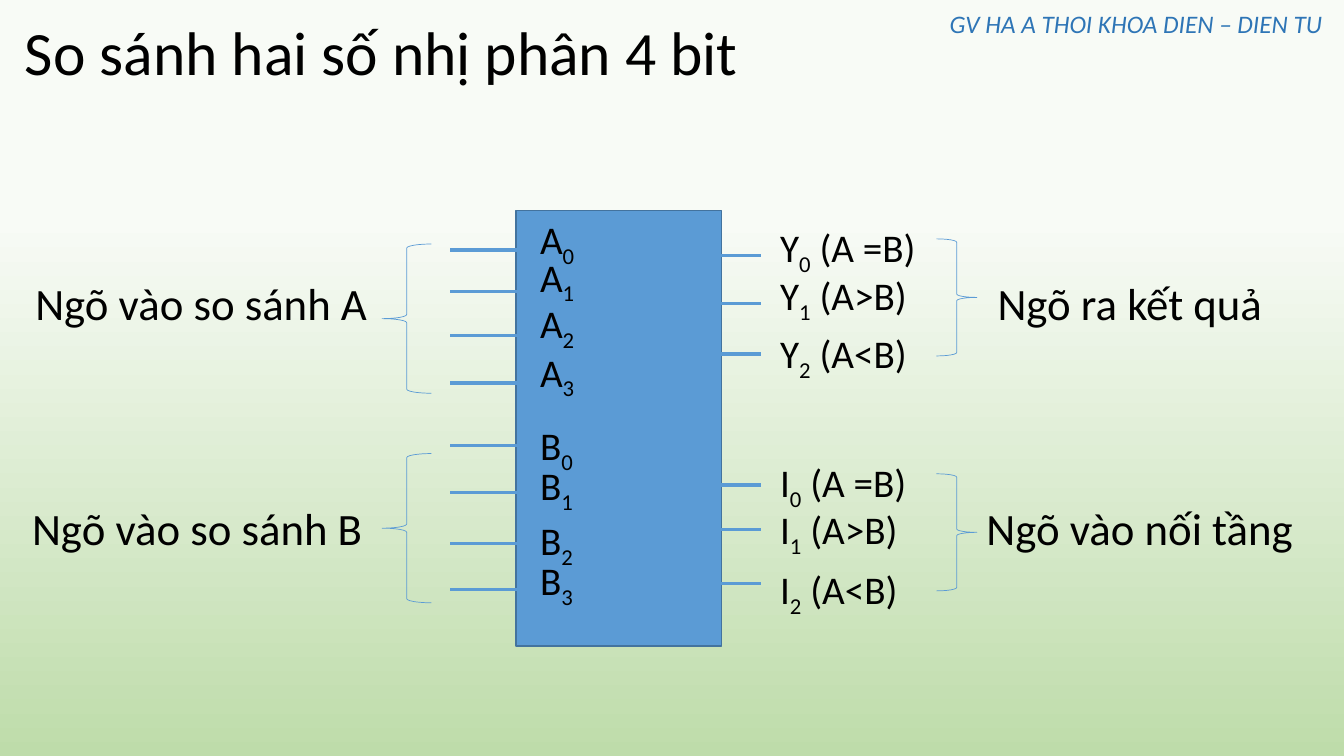
import pptx
import pptx.dml.color
import pptx.enum.shapes
import pptx.enum.text
import pptx.oxml.ns
import pptx.util
from dataclasses import dataclass
from lxml import etree

Cm, Pt = pptx.util.Cm, pptx.util.Pt
SHAPE = pptx.enum.shapes.MSO_SHAPE
ALIGN = pptx.enum.text.PP_ALIGN


@dataclass(frozen=True)
class Theme:
    font: str = "Calibri"
    text: str = "000000"
    blue: str = "5B9BD5"
    border: str = "43739E"
    credit: str = "2E75B6"
    bg_top: str = "F8FBF6"
    bg_bottom: str = "BEDCAA"
    title_size: int = 44
    caption_size: int = 32
    pin_size: int = 28
    credit_size: int = 18


def rgb(value):
    return pptx.dml.color.RGBColor.from_string(value)


class Diagram:
    def __init__(self, slide, theme):
        self.s = slide
        self.theme = theme

    def background(self):
        fill = self.s.background.fill
        fill.gradient()
        fill.gradient_angle = 270
        stops = ((0.29, self.theme.bg_top), (1, self.theme.bg_bottom))
        for stop, (position, color) in zip(fill.gradient_stops, stops):
            stop.position = position
            stop.color.rgb = rgb(color)

    def text(self, box, runs, size, color=None, italic=False, align=ALIGN.LEFT):
        """Each run is a pair: its wording and whether it is a subscript."""
        sp = self.s.shapes.add_textbox(*map(Cm, box))
        tf = sp.text_frame
        tf.word_wrap = True
        p = tf.paragraphs[0]
        p.alignment = align
        for wording, subscript in runs:
            r = p.add_run()
            r.text = wording
            r.font.name = self.theme.font
            r.font.size = Pt(size)
            r.font.italic = italic
            r.font.color.rgb = rgb(color or self.theme.text)
            if subscript:
                r.font._element.set("baseline", "-25000")

    def shape(self, kind, box, line, width, fill=None):
        sp = self.s.shapes.add_shape(kind, *map(Cm, box))
        sp.shadow.inherit = False
        if fill:
            sp.fill.solid()
            sp.fill.fore_color.rgb = rgb(fill)
        else:
            sp.fill.background()
        sp.line.color.rgb = rgb(line)
        sp.line.width = Pt(width)

    def wire(self, x1, x2, y):
        cn = self.s.shapes.add_connector(
            pptx.enum.shapes.MSO_CONNECTOR.STRAIGHT, Cm(x1), Cm(y), Cm(x2), Cm(y))
        cn.line.color.rgb = rgb(self.theme.blue)
        cn.line.width = Pt(2.25)
        etree.SubElement(cn._element.spPr, pptx.oxml.ns.qn("a:effectLst"))

    def pins(self, letter, wire_x, label_x, label_width, rows):
        """Each row holds the wire height, the label top and the label ending."""
        for i, (wire_y, label_y, ending) in enumerate(rows):
            self.wire(wire_x, wire_x + 1.93, wire_y)
            runs = [(letter, False), (str(i), True)]
            if ending:
                runs.append((ending, False))
            self.text((label_x, label_y, label_width, 1.45), runs, self.theme.pin_size)


def main():
    prs = pptx.Presentation()
    prs.slide_width, prs.slide_height = Cm(33.87), Cm(19.05)
    theme = Theme()
    d = Diagram(prs.slides.add_slide(prs.slide_layouts[6]), theme)
    d.background()

    # Title and credit
    d.text((0.38, 0.23, 33.1, 2.13), [("So sánh hai số nhị phân 4 bit", False)],
           theme.title_size)
    d.text((23.62, 0.08, 10.16, 1.02), [("GV HA A THOI KHOA DIEN – DIEN TU ", False)],
           theme.credit_size, theme.credit, True, ALIGN.CENTER)

    # Comparator chip
    d.shape(SHAPE.RECTANGLE, (13, 5.31, 5.18, 10.97), theme.border, 1, theme.blue)

    # Input pins on the left
    inputs = {
        "A": [(6.3, 5.31), (7.34, 6.25), (8.46, 7.42), (9.65, 8.64)],
        "B": [(11.23, 10.49), (12.42, 11.51), (13.69, 12.88), (14.86, 13.89)],
    }
    for letter, heights in inputs.items():
        d.pins(letter, 11.35, 13.36, 1.5, [(*pair, "") for pair in heights])

    # Result and cascade pins on the right
    relations = (" (A =B)", " (A>B)", " (A<B)")
    right_pins = {
        "Y": [(6.43, 5.51), (7.65, 6.71), (8.92, 8.18)],
        "I": [(12.22, 11.43), (13.34, 12.62), (14.71, 14.12)],
    }
    for letter, heights in right_pins.items():
        d.pins(letter, 17.25, 19.41, 4.1,
               [(*pair, rel) for pair, rel in zip(heights, relations)])

    # Braces
    for kind, x, width, height, tops in (
            (SHAPE.LEFT_BRACE, 9.63, 1.24, 3.76, (6.15, 11.43)),
            (SHAPE.RIGHT_BRACE, 23.6, 1.02, 2.95, (6.02, 11.94))):
        for top in tops:
            d.shape(kind, (x, top, width, height), theme.blue, 0.5)

    # Captions
    for x, y, width, wording in (
            (0.64, 6.83, 9.2, "Ngõ vào so sánh A"),
            (0.56, 12.5, 9.2, "Ngõ vào so sánh B"),
            (24.89, 6.83, 7.5, "Ngõ ra kết quả"),
            (24.61, 12.5, 8.6, "Ngõ vào nối tầng")):
        d.text((x, y, width, 1.63), [(wording, False)], theme.caption_size)

    prs.save("out.pptx")


if __name__ == "__main__":
    main()
